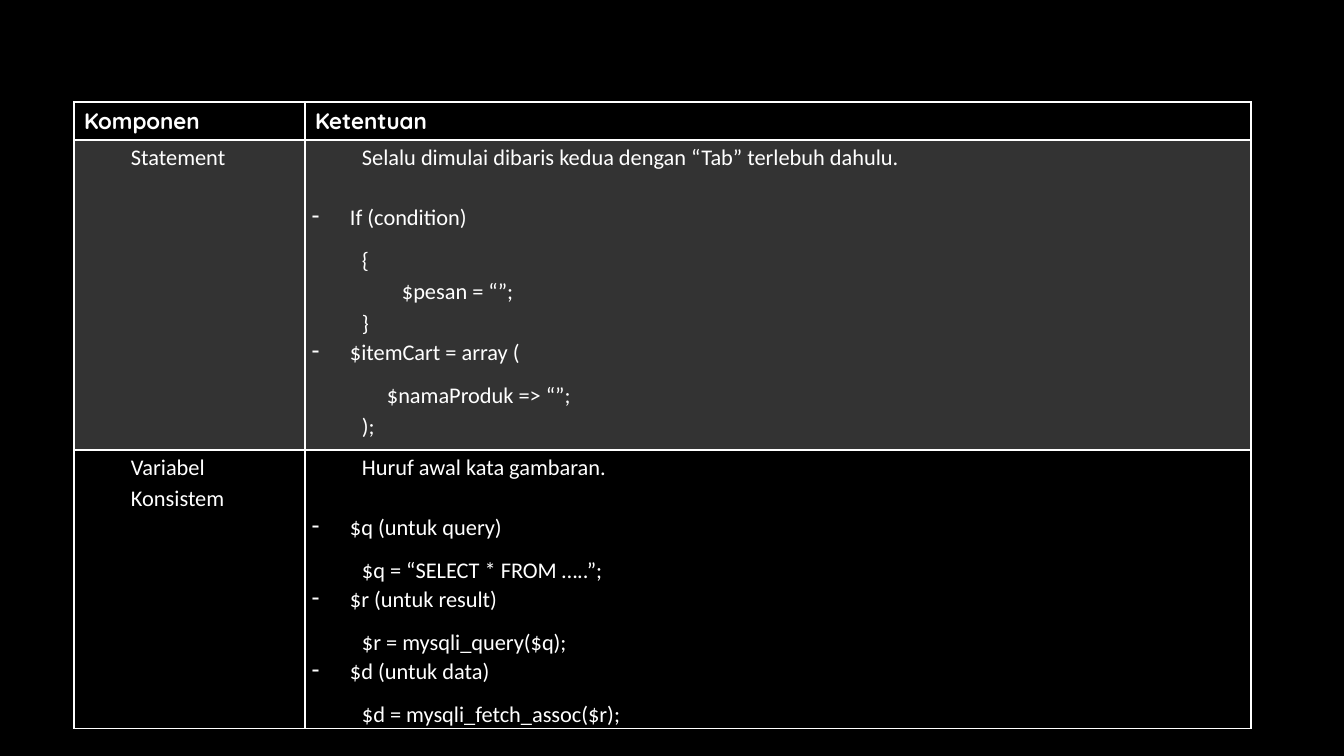
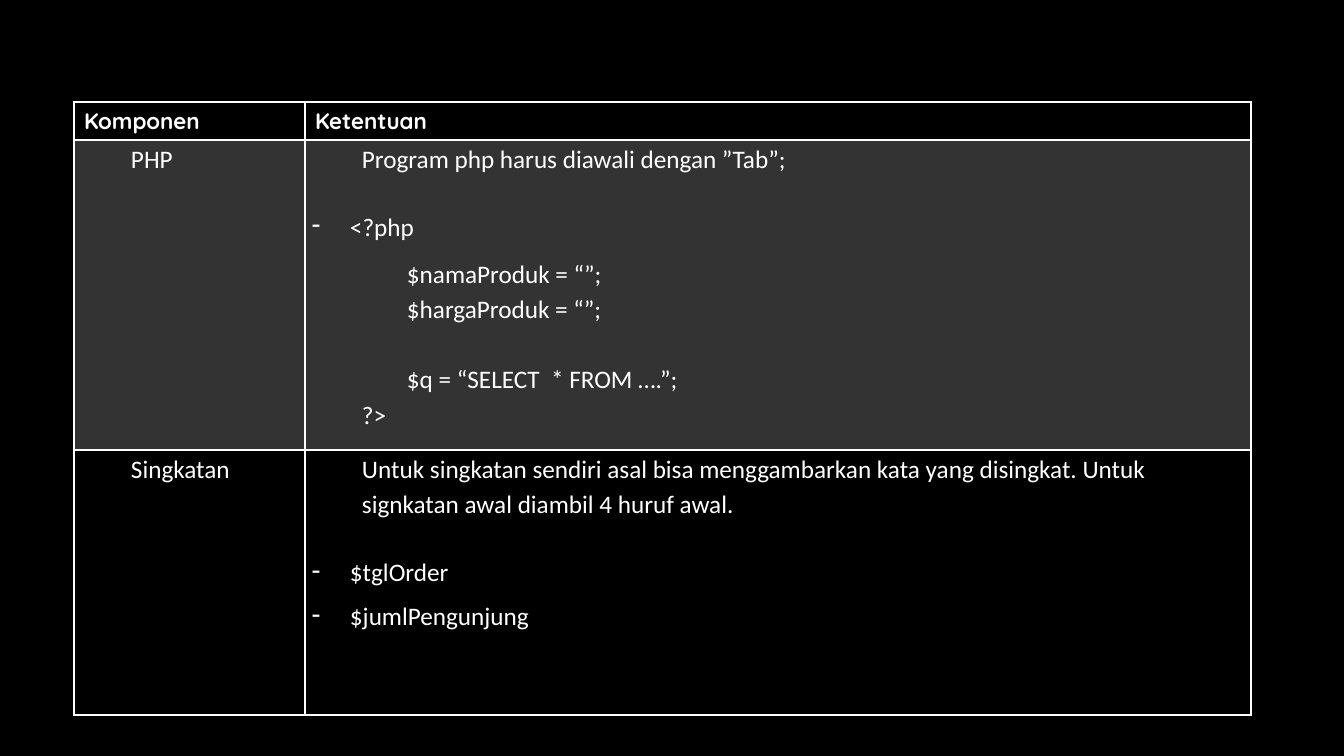
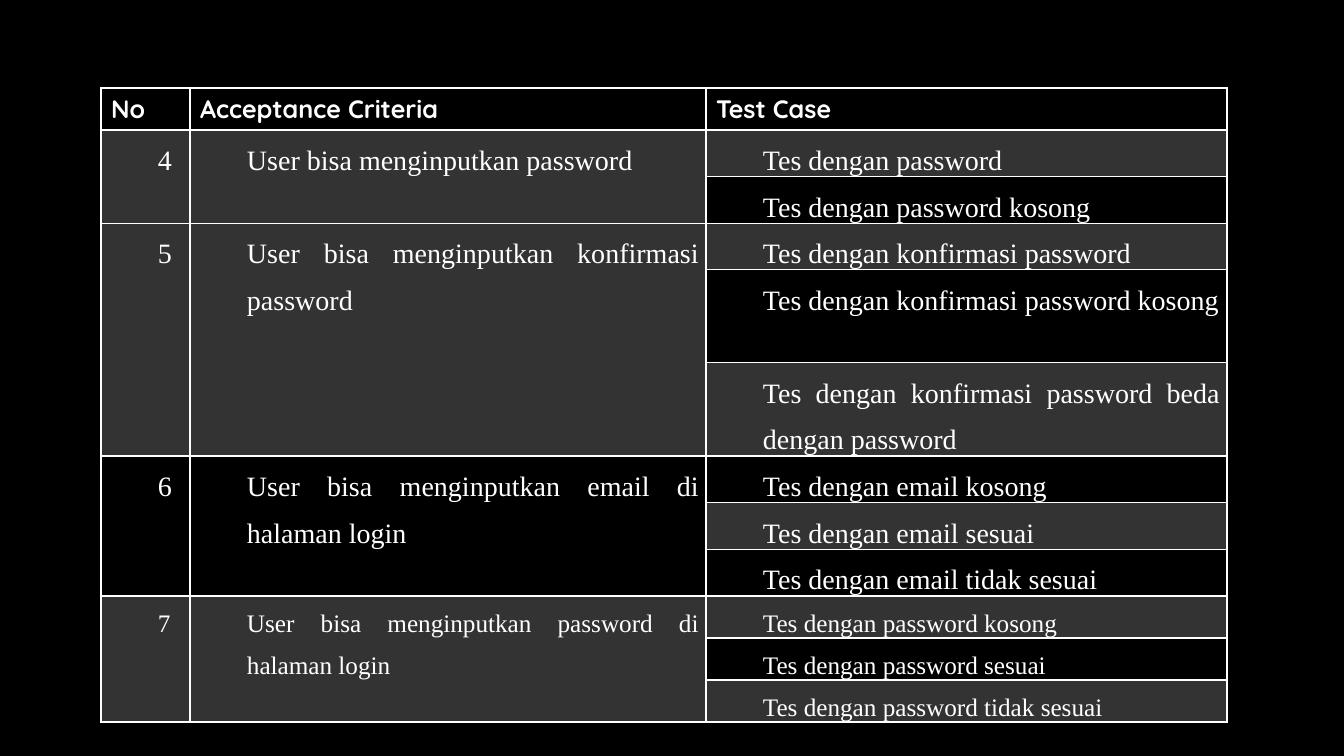
"""Build three dark slides with coding-rule and test-case tables."""
from dataclasses import dataclass

from lxml import etree
from pptx import Presentation
from pptx.dml.color import RGBColor
from pptx.enum.text import PP_ALIGN
from pptx.oxml.ns import qn
from pptx.util import Emu, Pt

BLACK = RGBColor(0x00, 0x00, 0x00)
WHITE = RGBColor(0xFF, 0xFF, 0xFF)
SHADE = RGBColor(0x33, 0x33, 0x33)

LEFT = PP_ALIGN.LEFT
JUSTIFY = PP_ALIGN.JUSTIFY

HEADING_FONT = "Quicksand"
RULE_FONT = "Calibri"
TEST_FONT = "Times New Roman"

SLIDE_WIDTH = 1344
SLIDE_HEIGHT = 756
EMU_PER_PX = SLIDE_HEIGHT and 914400 / 100.8
THIN = Pt(1)
THICK = Pt(2)
SIDE_MARGIN = 7
TEXT_INDENT = 50
BULLET_INDENT = 38


@dataclass(frozen=True)
class Line:
    text: str
    extra_indent: int = 0
    gap_after: int = 0
    bullet: bool = False


@dataclass(frozen=True)
class Style:
    font: str
    size: int
    spacing: float = 1.0
    align: PP_ALIGN = LEFT
    bold: bool = False


@dataclass(frozen=True)
class Grid:
    left: int
    top: int
    columns: tuple[int, ...]
    rows: tuple[int, ...]
    headings: tuple[str, ...]
    heading_size: int


@dataclass(frozen=True)
class Rule:
    component: str
    lines: tuple[Line, ...]


@dataclass(frozen=True)
class RulePage:
    grid: Grid
    size: int
    rules: tuple[Rule, ...]


@dataclass(frozen=True)
class Criterion:
    number: str
    text: str
    tests: tuple[str, ...]
    size: int = 20


def rule_grid(last_row: int) -> Grid:
    """Return the grid shared by the coding-rule tables."""
    return Grid(74, 102, (231, 946), (38, 310, last_row), ("Komponen", "Ketentuan"), 16)


RULE_PAGES = (
    RulePage(rule_grid(278), 16, (
        Rule("Statement", (
            Line("Selalu dimulai dibaris kedua dengan “Tab” terlebuh dahulu.", gap_after=22),
            Line("If (condition)", bullet=True),
            Line("{"),
            Line("$pesan = “”;", extra_indent=40),
            Line("}"),
            Line("$itemCart = array (", bullet=True),
            Line("$namaProduk => “”;", extra_indent=25),
            Line(");"),
        )),
        Rule("Variabel Konsistem", (
            Line("Huruf awal kata gambaran.", gap_after=22),
            Line("$q (untuk query)", bullet=True),
            Line("$q = “SELECT * FROM …..”;"),
            Line("$r (untuk result)", bullet=True),
            Line("$r = mysqli_query($q);"),
            Line("$d (untuk data)", bullet=True),
            Line("$d = mysqli_fetch_assoc($r);"),
        )),
    )),
    RulePage(rule_grid(265), 18, (
        Rule("PHP", (
            Line("Program php harus diawali dengan ”Tab”;", gap_after=25),
            Line("<?php", bullet=True),
            Line("$namaProduk = “”;", extra_indent=45),
            Line("$hargaProduk = “”;", extra_indent=45, gap_after=25),
            Line("$q = “SELECT  * FROM ….”;", extra_indent=45),
            Line("?>"),
        )),
        Rule("Singkatan", (
            Line("Untuk singkatan sendiri asal bisa menggambarkan kata yang disingkat. "
                 "Untuk signkatan awal diambil 4 huruf awal.", gap_after=25),
            Line("$tglOrder", bullet=True),
            Line("$jumlPengunjung", bullet=True),
        )),
    )),
)

TEST_GRID = Grid(
    101, 88, (89, 516, 521),
    (42, 46, 46, 46, 93, 93, 46, 46, 46, 42, 42, 42),
    ("No", "Acceptance Criteria", "Test Case"), 18,
)
CRITERIA = (
    Criterion("4", "User bisa menginputkan password", (
        "Tes dengan password",
        "Tes dengan password kosong",
    )),
    Criterion("5", "User bisa menginputkan konfirmasi password", (
        "Tes dengan konfirmasi password",
        "Tes dengan konfirmasi password kosong",
        "Tes dengan konfirmasi password beda dengan password",
    )),
    Criterion("6", "User bisa menginputkan email di halaman login", (
        "Tes dengan email kosong",
        "Tes dengan email sesuai",
        "Tes dengan email tidak sesuai",
    )),
    Criterion("7", "User bisa menginputkan password di halaman login", (
        "Tes dengan password kosong",
        "Tes dengan password sesuai",
        "Tes dengan password tidak sesuai",
    ), 18),
)


def px(length: int) -> Emu:
    """Turn pixels into EMU."""
    return Emu(round(length * EMU_PER_PX))


def add_borders(cell, top: int, bottom: int) -> None:
    """Draw white lines on the four sides of a cell."""
    properties = cell._tc.get_or_add_tcPr()
    sides = (("a:lnL", THIN), ("a:lnR", THIN), ("a:lnT", top), ("a:lnB", bottom))
    for position, (tag, width) in enumerate(sides):
        border = etree.Element(qn(tag), w=str(int(width)))
        fill = etree.SubElement(border, qn("a:solidFill"))
        etree.SubElement(fill, qn("a:srgbClr"), val=str(WHITE))
        properties.insert(position, border)


def write_span(para, text: str, style: Style) -> None:
    """Add one styled run to a paragraph."""
    para.alignment = style.align
    span = para.add_run()
    span.text = text
    span.font.name = style.font
    span.font.size = Pt(style.size)
    span.font.bold = style.bold
    span.font.color.rgb = WHITE


def write_body(cell, lines: tuple[Line, ...], style: Style) -> None:
    """Fill a body cell with indented or bulleted lines."""
    cell.margin_left = cell.margin_right = px(SIDE_MARGIN)
    cell.margin_top = cell.margin_bottom = 0
    frame = cell.text_frame
    for index, line in enumerate(lines):
        para = frame.add_paragraph() if index else frame.paragraphs[0]
        para.line_spacing = 1.07 if line.bullet else style.spacing
        para.space_after = Pt(8 if line.bullet else line.gap_after)
        indent = BULLET_INDENT if line.bullet else TEXT_INDENT + line.extra_indent
        properties = para._p.get_or_add_pPr()
        properties.set("marL", str(px(indent)))
        properties.set("indent", str(px(-BULLET_INDENT if line.bullet else 0)))
        if line.bullet:
            etree.SubElement(properties, qn("a:buChar"), char="-")
        write_span(para, line.text, style)


def add_grid(deck, grid: Grid):
    """Add a page holding a bordered, banded table with its headings."""
    page = deck.slides.add_slide(deck.slide_layouts[6])
    frame = page.shapes.add_table(
        len(grid.rows), len(grid.columns), px(grid.left), px(grid.top),
        px(sum(grid.columns)), px(sum(grid.rows)),
    )
    table = frame.table
    table.first_row = table.horz_banding = False
    for column, width in zip(table.columns, grid.columns):
        column.width = px(width)
    for index, (row, height) in enumerate(zip(table.rows, grid.rows)):
        row.height = px(height)
        for cell in row.cells:
            if index % 2:
                cell.fill.solid()
                cell.fill.fore_color.rgb = SHADE
            else:
                cell.fill.background()
            add_borders(cell, THICK if index == 1 else THIN, THICK if index == 0 else THIN)
    heading_style = Style(HEADING_FONT, grid.heading_size, bold=True)
    for cell, heading in zip(table.rows[0].cells, grid.headings):
        write_span(cell.text_frame.paragraphs[0], heading, heading_style)
    return table


def add_rule_page(deck, content: RulePage) -> None:
    """Add a page of coding rules."""
    table = add_grid(deck, content.grid)
    style = Style(RULE_FONT, content.size, 1.15)
    for row, rule in enumerate(content.rules, start=1):
        write_body(table.cell(row, 0), (Line(rule.component),), style)
        write_body(table.cell(row, 1), rule.lines, style)


def add_test_page(deck) -> None:
    """Add the page of acceptance criteria and their test cases."""
    table = add_grid(deck, TEST_GRID)
    row = 1
    for criterion in CRITERIA:
        style = Style(TEST_FONT, criterion.size, 1.5, JUSTIFY)
        last_row = row + len(criterion.tests) - 1
        for column, text in enumerate((criterion.number, criterion.text)):
            cell = table.cell(row, column)
            cell.merge(table.cell(last_row, column))
            write_body(cell, (Line(text),), style)
        for offset, test in enumerate(criterion.tests):
            write_body(table.cell(row + offset, 2), (Line(test),), style)
        row = last_row + 1


def main() -> None:
    """Build and save the deck."""
    deck = Presentation()
    deck.slide_width = px(SLIDE_WIDTH)
    deck.slide_height = px(SLIDE_HEIGHT)
    backdrop = deck.slide_master.background.fill
    backdrop.solid()
    backdrop.fore_color.rgb = BLACK
    for content in RULE_PAGES:
        add_rule_page(deck, content)
    add_test_page(deck)
    deck.save("out.pptx")


if __name__ == "__main__":
    main()
